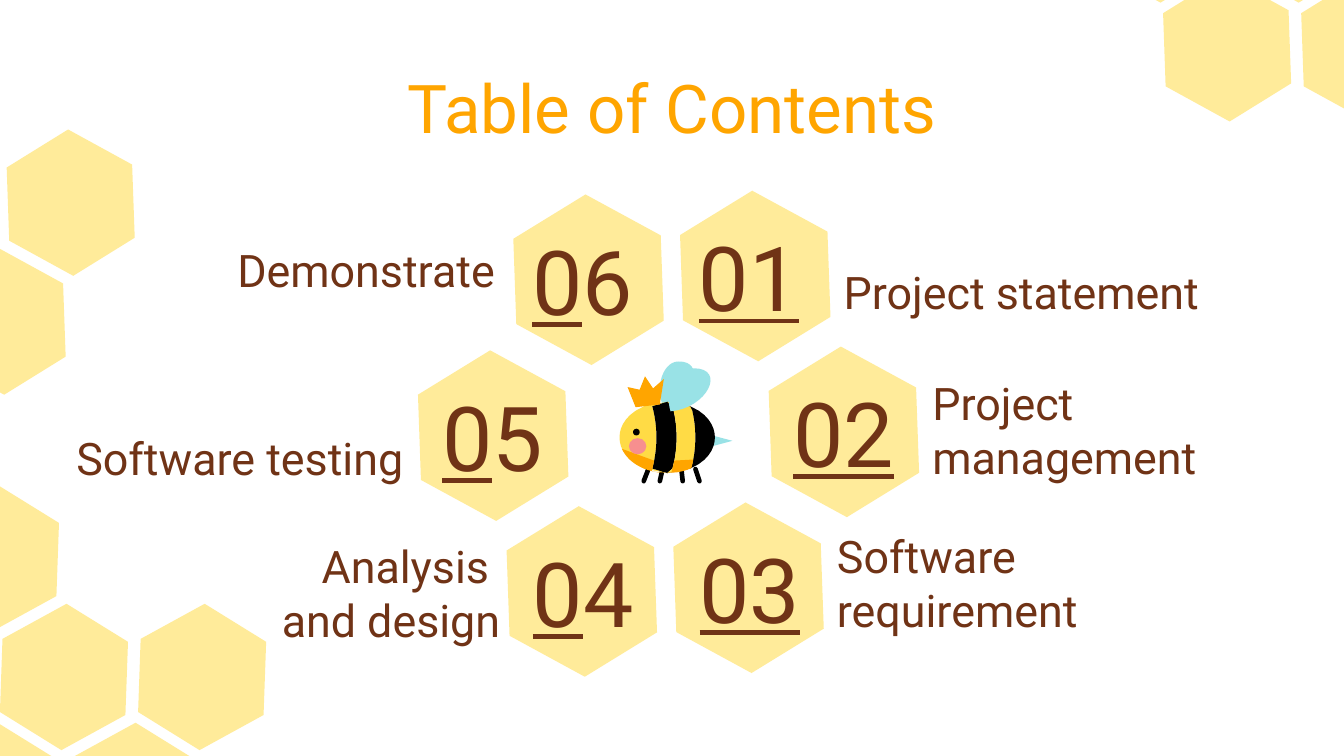
from dataclasses import dataclass
from typing import NamedTuple
import math

import pptx
import pptx.dml.color
import pptx.enum.shapes
import pptx.enum.text
import pptx.util
from lxml import etree
from pptx.oxml.ns import qn

Pt = pptx.util.Pt
Align = pptx.enum.text.PP_ALIGN
Anchor = pptx.enum.text.MSO_ANCHOR


@dataclass(frozen=True)
class Theme:
    font: str = "Roboto"
    orange: str = "FFA500"
    brown: str = "703316"
    honey: str = "FFDB45"
    black: str = "000000"
    wing: str = "99E2E6"
    cheek: str = "F78F8F"
    honey_opacity: int = 54
    title_size: int = 36
    label_size: int = 24
    number_size: int = 48
    inset: float = 7.2


class Box(NamedTuple):
    left: float
    top: float
    width: float
    height: float


class Topic(NamedTuple):
    row: int
    cell_left: float
    label_gap: float
    label_bottom: float
    lines: tuple


class Cluster(NamedTuple):
    left: float
    top: float
    mirrored: bool
    cells: tuple


class Band(NamedTuple):
    color: str
    left: float
    right: float
    left_start: float = -1
    right_start: float = -1


class Leg(NamedTuple):
    hip: float
    slant: float


THEME = Theme()
HALF_HEXAGON = ((0.48, 0), (0, 0.26), (0.02, 0.76))
HEXAGON = HALF_HEXAGON + tuple((1 - x, 1 - y) for x, y in HALF_HEXAGON)

COMB_WIDTH, COMB_HEIGHT = 68.6, 78.4
COMB_STEP_X, COMB_STEP_Y = 37, 63.7
CLUSTERS = (
    Cluster(0, 323.5, True, ((-1, -1), (0, 0), (2, 0), (-1, 1), (1, 1))),
    Cluster(586.1, -77, False, ((0, 0), (2, 0), (1, 1), (3, 1))),
    Cluster(3.6, 69.4, False, ((0, 0), (-1, 1))),
)

CELL_WIDTH, CELL_HEIGHT = 80.6, 91.4
CELL_TOP, ROW_STEP, LEFT_SIDE_DROP = 102.2, 83.5, 2
NUMBER_CENTERS = (37, 40, 41)
NUMBER_TOP, NUMBER_WIDTH, NUMBER_HEIGHT = 23, 104, 45.4
LABEL_WIDTH, LABEL_HEIGHT = 208, 59
TOPICS = (
    Topic(0, 364.3, 0, 75.6, ("Project statement",)),
    Topic(1, 411.8, 0, 80.6, ("Project management",)),
    Topic(2, 360.7, 0, 79.1, ("Software requirement",)),
    Topic(2, 271.4, -3.7, 82.1, ("Analysis ", "and design")),
    Topic(1, 223.9, 0.7, 79.2, ("Software testing",)),
    Topic(0, 275, 2.8, 61.9, ("Demonstrate",)),
)
RIGHT_SIDE_COUNT = 3

BEE_LEFT, BEE_TOP, BEE_UNIT = 331.9, 193.7, 0.72
STEPS = 16
BODY_CENTER_X, BODY_CENTER_Y = 35.5, 56.5
BODY_RADIUS_X, BODY_RADIUS_Y = 35.5, 26.5
BAND_BULGE = 4
HEAD_END, STRIPE_END, WAIST_END = -12, 3, 17
LEG_TOP, LEG_BOTTOM, LEG_WIDTH = 80, 89, 2.5
BANDS = (
    Band(THEME.honey, -50, HEAD_END),
    Band(THEME.black, HEAD_END, STRIPE_END),
    Band(THEME.honey, STRIPE_END, WAIST_END),
    Band(THEME.black, WAIST_END, 50),
    Band(THEME.orange, -50, HEAD_END, 0.32, 0.65),
    Band(THEME.orange, STRIPE_END, WAIST_END, 0.65, 0.62),
)
LEGS = (Leg(21.5, -3.5), Leg(32, -2), Leg(46, 1), Leg(56.5, 3))
STINGER = ((69, 55), (84, 59), (69, 63))
CROWN = ((19, 11), (25, 20), (33, 13), (30, 32), (12, 34), (6, 19), (15, 21))
BACK_WING = (((35, 37), (25, 24), (31, 0), (44, 0)), ((44, 0), (64, 0), (55, 24), (35, 37)))
FRONT_WING = (((38, 37), (33, 23), (44, 5), (55, 5)), ((55, 5), (80, 5), (65, 35), (38, 37)))
EYE = Box(10, 50, 5, 5)
CHEEK = Box(7, 57, 13, 12)


def rgb(color: str) -> pptx.dml.color.RGBColor:
    return pptx.dml.color.RGBColor.from_string(color)


def paint(shape, color: str, opacity: int = 100) -> None:
    shape.shadow.inherit = False
    shape.line.fill.background()
    shape.fill.solid()
    shape.fill.fore_color.rgb = rgb(color)
    if opacity < 100:
        color_element = shape._element.spPr.find(qn("a:solidFill"))[0]
        etree.SubElement(color_element, qn("a:alpha"), val=str(opacity * 1000))


def draw_outline(shapes, points, color: str, opacity: int = 100) -> None:
    corners = [(Pt(x), Pt(y)) for x, y in points]
    builder = shapes.build_freeform(*corners[0])
    builder.add_line_segments(corners[1:], close=True)
    paint(builder.convert_to_shape(), color, opacity)


def draw_hexagon(shapes, box: Box, mirrored: bool = False) -> None:
    points = [(box.left + box.width * (1 - x if mirrored else x), box.top + box.height * y)
              for x, y in HEXAGON]
    draw_outline(shapes, points, THEME.honey, THEME.honey_opacity)


def draw_cluster(shapes, cluster: Cluster) -> None:
    for column, row in cluster.cells:
        left, top = cluster.left + column * COMB_STEP_X, cluster.top + row * COMB_STEP_Y
        draw_hexagon(shapes, Box(left, top, COMB_WIDTH, COMB_HEIGHT), cluster.mirrored)


def place_on_bee(x: float, y: float) -> tuple:
    return BEE_LEFT + x * BEE_UNIT, BEE_TOP + y * BEE_UNIT


def draw_bee_part(shapes, points, color: str) -> None:
    draw_outline(shapes, [place_on_bee(*point) for point in points], color)


def curve_points(curves: tuple) -> list:
    points = []
    for curve in curves:
        for step in range(STEPS):
            t = step / STEPS
            weights = [math.comb(3, power) * t ** power * (1 - t) ** (3 - power) for power in range(4)]
            points.append(tuple(sum(weight * control[axis] for weight, control in zip(weights, curve))
                                for axis in (0, 1)))
    return points


def body_edge(offset: float, start: float) -> list:
    points = []
    for step in range(STEPS + 1):
        level = start + (1 - start) * step / STEPS
        reach = BODY_RADIUS_X * math.sqrt(max(0, 1 - level ** 2))
        x = max(-reach, min(reach, offset + BAND_BULGE * (1 - level ** 2)))
        points.append((BODY_CENTER_X + x, BODY_CENTER_Y + BODY_RADIUS_Y * level))
    return points


def draw_leg(shapes, leg: Leg) -> None:
    hip, foot = place_on_bee(leg.hip, LEG_TOP), place_on_bee(leg.hip + leg.slant, LEG_BOTTOM)
    connector = shapes.add_connector(pptx.enum.shapes.MSO_CONNECTOR.STRAIGHT, *map(Pt, hip + foot))
    connector.line.color.rgb = rgb(THEME.black)
    connector.line.width = Pt(LEG_WIDTH)
    connector._element.spPr.find(qn("a:ln")).set("cap", "rnd")
    etree.SubElement(connector._element.spPr, qn("a:effectLst"))


def draw_spot(shapes, box: Box, color: str) -> None:
    size = (box.width * BEE_UNIT, box.height * BEE_UNIT)
    position = place_on_bee(box.left, box.top)
    paint(shapes.add_shape(pptx.enum.shapes.MSO_SHAPE.OVAL, *map(Pt, position + size)), color)


def draw_bee(shapes) -> None:
    draw_bee_part(shapes, STINGER, THEME.wing)
    draw_bee_part(shapes, curve_points(BACK_WING), THEME.wing)
    for leg in LEGS:
        draw_leg(shapes, leg)
    for band in BANDS:
        outline = body_edge(band.left, band.left_start) + body_edge(band.right, band.right_start)[::-1]
        draw_bee_part(shapes, outline, band.color)
    draw_spot(shapes, EYE, THEME.black)
    draw_spot(shapes, CHEEK, THEME.cheek)
    draw_bee_part(shapes, curve_points(FRONT_WING), THEME.wing)
    draw_bee_part(shapes, CROWN, THEME.orange)


def format_frame(frame, anchor: Anchor) -> None:
    frame.word_wrap = True
    frame.auto_size = pptx.enum.text.MSO_AUTO_SIZE.NONE
    frame.vertical_anchor = anchor
    frame.margin_left = frame.margin_right = Pt(THEME.inset)
    frame.margin_top = frame.margin_bottom = Pt(THEME.inset)


def format_paragraph(paragraph, size: int, color: str, align: Align) -> None:
    paragraph.alignment = align
    paragraph.font.name = THEME.font
    paragraph.font.size = Pt(size)
    paragraph.font.color.rgb = rgb(color)


def add_title(slide, text: str, box: Box) -> None:
    title = slide.shapes.title
    title.left, title.top, title.width, title.height = map(Pt, box)
    title.text_frame.text = text
    format_frame(title.text_frame, Anchor.TOP)
    format_paragraph(title.text_frame.paragraphs[0], THEME.title_size, THEME.orange, Align.CENTER)


def draw_topic(shapes, position: int, topic: Topic) -> None:
    on_right = position <= RIGHT_SIDE_COUNT
    top = CELL_TOP + topic.row * ROW_STEP + (0 if on_right else LEFT_SIDE_DROP)
    draw_hexagon(shapes, Box(topic.cell_left, top, CELL_WIDTH, CELL_HEIGHT))

    number_left = topic.cell_left + NUMBER_CENTERS[topic.row] - NUMBER_WIDTH / 2
    number_box = Box(number_left, top + NUMBER_TOP, NUMBER_WIDTH, NUMBER_HEIGHT)
    number_frame = shapes.add_textbox(*map(Pt, number_box)).text_frame
    format_frame(number_frame, Anchor.MIDDLE)
    paragraph = number_frame.paragraphs[0]
    format_paragraph(paragraph, THEME.number_size, THEME.brown, Align.CENTER)
    for digits, underline in ((f"{position:02}", True),) if on_right else (("0", True), (str(position), False)):
        run = paragraph.add_run()
        run.text = digits
        run.font.underline = underline

    label_left = topic.cell_left + (CELL_WIDTH if on_right else -topic.label_gap - LABEL_WIDTH)
    label_box = Box(label_left, top + topic.label_bottom - LABEL_HEIGHT, LABEL_WIDTH, LABEL_HEIGHT)
    label_frame = shapes.add_textbox(*map(Pt, label_box)).text_frame
    format_frame(label_frame, Anchor.BOTTOM)
    label_frame.text = "\n".join(topic.lines)
    for paragraph in label_frame.paragraphs:
        format_paragraph(paragraph, THEME.label_size, THEME.brown, Align.LEFT if on_right else Align.RIGHT)


def main() -> None:
    presentation = pptx.Presentation()
    presentation.slide_width, presentation.slide_height = Pt(720), Pt(405)
    slide = presentation.slides.add_slide(presentation.slide_layouts.get_by_name("Title Only"))
    for cluster in CLUSTERS:
        draw_cluster(slide.shapes, cluster)
    add_title(slide, "Table of Contents", Box(36.7, 28.1, 646.6, 52.6))
    for position, topic in enumerate(TOPICS, start=1):
        draw_topic(slide.shapes, position, topic)
    draw_bee(slide.shapes.add_group_shape().shapes)
    presentation.save("out.pptx")


if __name__ == "__main__":
    main()
